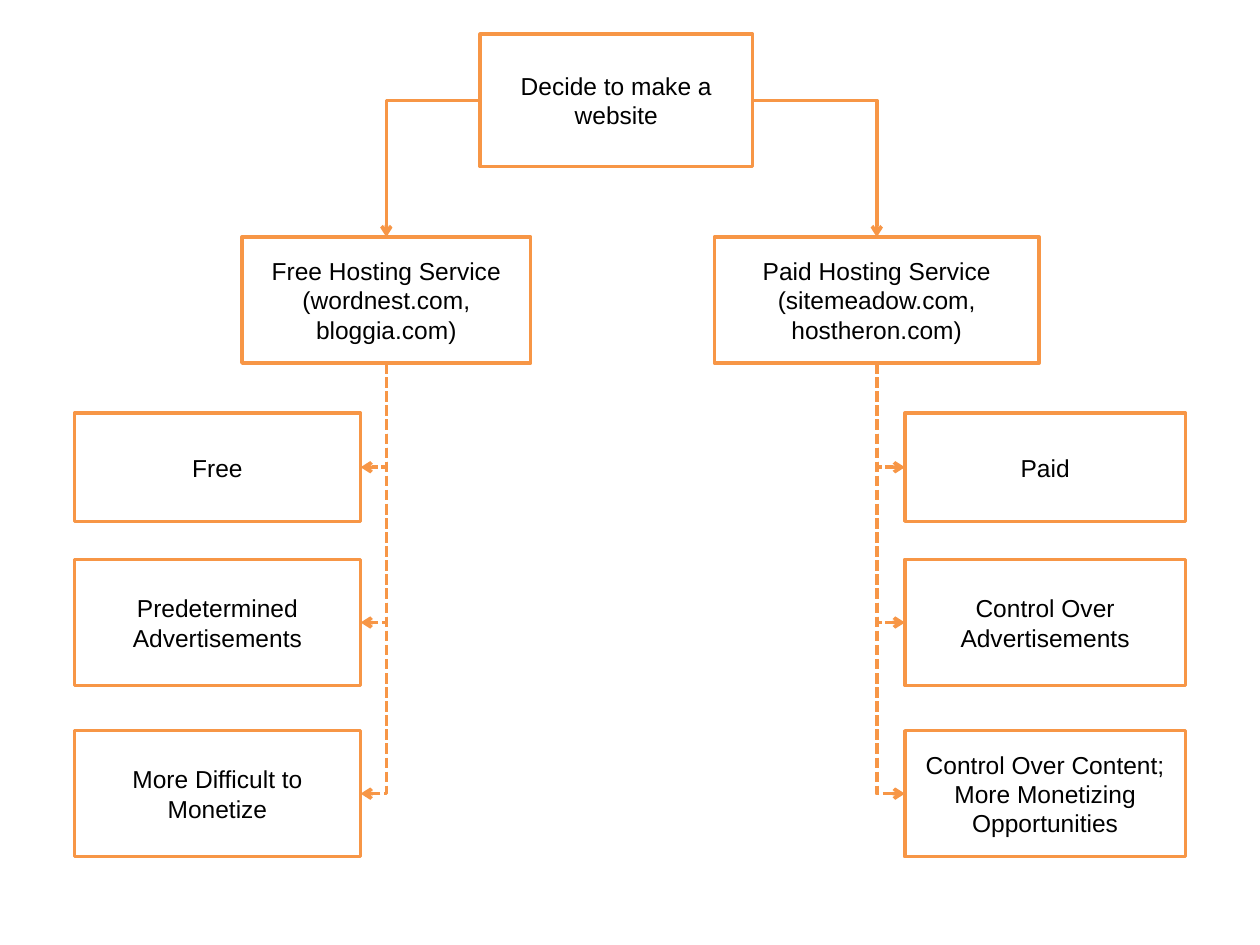
from pptx import Presentation
from pptx.dml.color import RGBColor
from pptx.enum.dml import MSO_LINE
from pptx.enum.shapes import MSO_CONNECTOR, MSO_SHAPE
from pptx.enum.text import MSO_ANCHOR, PP_ALIGN
from pptx.oxml.ns import qn
from pptx.util import Cm, Pt
from lxml.etree import SubElement

ORANGE = RGBColor(0xF7, 0x96, 0x46)
WHITE = RGBColor(0xFF, 0xFF, 0xFF)
BLACK = RGBColor(0x00, 0x00, 0x00)

# Connection sites of a rectangle
TOP, LEFT, BOTTOM, RIGHT = range(4)


class FlowChart:
    """Holds the style and the current slide."""

    font_format = {"name": "Arial", "size": Pt(14)}
    frame_format = {"word_wrap": True, "vertical_anchor": MSO_ANCHOR.MIDDLE}
    line_width = Pt(2)

    def __init__(self, page):
        self.page = page

    def apply(self, target, values):
        for name, value in values.items():
            setattr(target, name, value)

    def outline(self, line):
        line.color.rgb = ORANGE
        line.width = self.line_width

    def box(self, left, top, width, height, *lines):
        box = self.page.shapes.add_shape(
            MSO_SHAPE.RECTANGLE, Cm(left), Cm(top), Cm(width), Cm(height))
        box.shadow.inherit = False
        box.fill.solid()
        box.fill.fore_color.rgb = WHITE
        self.outline(box.line)
        frame = box.text_frame
        self.apply(frame, self.frame_format)
        for index, text in enumerate(lines):
            para = frame.add_paragraph() if index else frame.paragraphs[0]
            para.alignment = PP_ALIGN.CENTER
            span = para.add_run()
            span.text = text
            self.apply(span.font, self.font_format)
            span.font.color.rgb = BLACK
        return box

    def arrow(self, start, start_site, end, end_site, dashed=False):
        arrow = self.page.shapes.add_connector(MSO_CONNECTOR.ELBOW, 0, 0, 0, 0)
        arrow.begin_connect(start, start_site)
        arrow.end_connect(end, end_site)
        properties = arrow._element.spPr
        properties.find(qn("a:prstGeom")).set("prst", "bentConnector2")
        if start_site == BOTTOM:
            self.turn_down(arrow)
        self.outline(arrow.line)
        if dashed:
            arrow.line.dash_style = MSO_LINE.SQUARE_DOT
        SubElement(arrow.line._get_or_add_ln(), qn("a:tailEnd"), type="arrow")
        SubElement(properties, qn("a:effectLst"))

    def turn_down(self, arrow):
        """Makes a single-bend connector leave downwards, by rotating it."""
        to_right = arrow.end_x > arrow.begin_x
        width, height = arrow.height, arrow.width
        left = arrow.left + (arrow.width - width) // 2
        top = arrow.top + (arrow.height - height) // 2
        self.apply(arrow, {"left": left, "top": top,
                           "width": width, "height": height})
        transform = arrow._element.spPr.find(qn("a:xfrm"))
        transform.set("rot", str((270 if to_right else 90) * 60000))
        transform.set("flipH", "1" if to_right else "0")


deck = Presentation()
deck.slide_width, deck.slide_height = Cm(25.4), Cm(19.05)
chart = FlowChart(deck.slides.add_slide(deck.slide_layouts[6]))

# Starting decision
decision = chart.box(9.68, 0.69, 5.49, 2.67, "Decide to make a website")

# Hosting options, each with its outcomes: (left, width) of both columns
ROWS = [(8.33, 2.18), (11.28, 2.54), (14.73, 2.54)]
BRANCHES = [
    (LEFT, RIGHT, (4.88, 5.82), (1.5, 5.77),
     ["Free Hosting Service", "(wordnest.com, bloggia.com)"],
     ["Free", "Predetermined Advertisements", "More Difficult to Monetize"]),
    (RIGHT, LEFT, (14.4, 6.55), (18.24, 5.66),
     ["Paid Hosting Service", "(sitemeadow.com, hostheron.com)"],
     ["Paid", "Control Over Advertisements",
      "Control Over Content; More Monetizing Opportunities"]),
]
for exit_site, entry_site, service_span, outcome_span, title, outcomes in BRANCHES:
    service = chart.box(service_span[0], 4.78, service_span[1], 2.54, *title)
    chart.arrow(decision, exit_site, service, TOP)
    for (top, height), text in zip(ROWS, outcomes):
        outcome = chart.box(outcome_span[0], top, outcome_span[1], height, text)
        chart.arrow(service, BOTTOM, outcome, entry_site, dashed=True)

deck.save("out.pptx")
